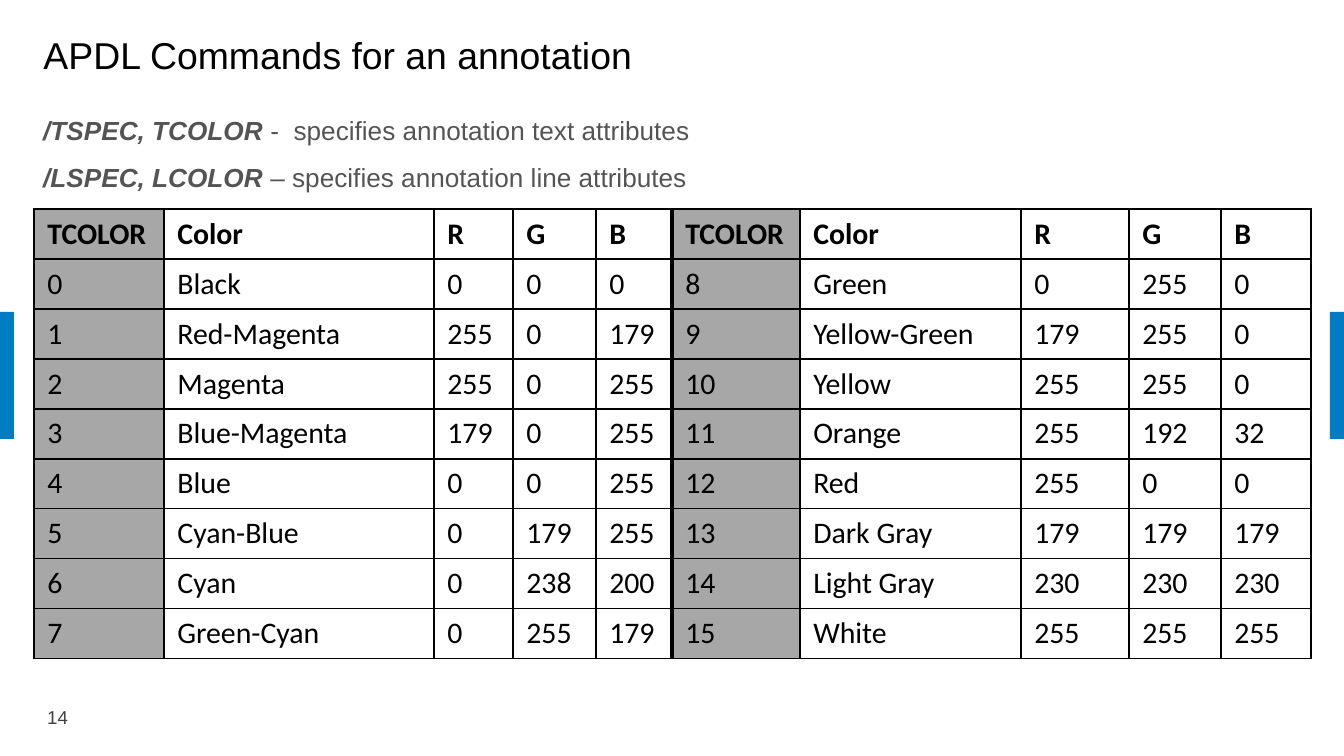
from lxml.etree import SubElement
from pptx import Presentation
from pptx.dml.color import RGBColor
from pptx.enum.shapes import MSO_SHAPE
from pptx.enum.text import MSO_ANCHOR, MSO_AUTO_SIZE, PP_ALIGN
from pptx.oxml.ns import qn
from pptx.util import Pt

SLIDE_WIDTH, SLIDE_HEIGHT = 1344, 756
COLORS = {
    "accent": "007CC3",
    "title": "000000",
    "body": "545454",
    "number": "404040",
    "code_column": "A7A7A7",
    "table_text": "000000",
    "border": "000000",
}
COMMANDS = [
    ("/TSPEC, TCOLOR", " -  specifies annotation text attributes"),
    ("/LSPEC, LCOLOR", " – specifies annotation line attributes"),
]
HEADER = ["TCOLOR", "Color", "R", "G", "B"]
PALETTE = [
    ("Black", 0, 0, 0),
    ("Red-Magenta", 255, 0, 179),
    ("Magenta", 255, 0, 255),
    ("Blue-Magenta", 179, 0, 255),
    ("Blue", 0, 0, 255),
    ("Cyan-Blue", 0, 179, 255),
    ("Cyan", 0, 238, 200),
    ("Green-Cyan", 0, 255, 179),
    ("Green", 0, 255, 0),
    ("Yellow-Green", 179, 255, 0),
    ("Yellow", 255, 255, 0),
    ("Orange", 255, 192, 32),
    ("Red", 255, 0, 0),
    ("Dark Gray", 179, 179, 179),
    ("Light Gray", 230, 230, 230),
    ("White", 255, 255, 255),
]
COLUMN_WIDTHS = [130, 270, 79, 83, 76, 128, 221, 108, 92, 90]
ROW_HEIGHT = 50


def px(length):
    return length * 9144000 // SLIDE_WIDTH


def box_emu(box):
    return [px(length) for length in box]


def format_font(font, name, size, color, bold=False, italic=False):
    font.name = name
    font.size = Pt(size)
    font.bold = bold
    font.italic = italic
    font.color.rgb = RGBColor.from_string(COLORS[color])


def add_side_tabs(slide, box):
    left, top, width, height = box
    tab_width = 14
    for tab_left in (left, left + width - tab_width):
        tab = slide.shapes.add_shape(
            MSO_SHAPE.RECTANGLE, *box_emu((tab_left, top, tab_width, height)))
        tab.shadow.inherit = False
        tab.fill.solid()
        tab.fill.fore_color.rgb = RGBColor.from_string(COLORS["accent"])
        tab.line.fill.background()


def place_title(slide, box, text):
    title = slide.shapes.title
    title.left, title.top, title.width, title.height = box_emu(box)
    text_frame = title.text_frame
    text_frame.text = text
    text_frame.auto_size = MSO_AUTO_SIZE.NONE
    text_frame.vertical_anchor = MSO_ANCHOR.MIDDLE
    paragraph = text_frame.paragraphs[0]
    paragraph.alignment = PP_ALIGN.LEFT
    format_font(paragraph.runs[0].font, "Arial", 20, "title")


def add_commands(slide, box):
    text_frame = slide.shapes.add_textbox(*box_emu(box)).text_frame
    text_frame.word_wrap = True
    for index, (command, meaning) in enumerate(COMMANDS):
        if index:
            paragraph = text_frame.add_paragraph()
            paragraph.space_before = Pt(8)
        else:
            paragraph = text_frame.paragraphs[0]
        for text, strong in ((command, True), (meaning, False)):
            run = paragraph.add_run()
            run.text = text
            format_font(run.font, "Arial", 14, "body", strong, strong)


def set_borders(cell, widths):
    properties = cell._tc.get_or_add_tcPr()
    for index, (side, width) in enumerate(widths.items()):
        line = properties.makeelement(qn(f"a:{side}"), {"w": str(Pt(width))})
        fill = SubElement(line, qn("a:solidFill"))
        SubElement(fill, qn("a:srgbClr"), val=COLORS["border"])
        properties.insert(index, line)


def add_color_table(slide, box):
    half = len(PALETTE) // 2
    rows = [HEADER * 2] + [
        [code, *PALETTE[code], code + half, *PALETTE[code + half]]
        for code in range(half)
    ]
    table = slide.shapes.add_table(
        len(rows), len(COLUMN_WIDTHS), *box_emu(box)).table
    table.first_row = False
    table.horz_banding = False
    for column, width in zip(table.columns, COLUMN_WIDTHS):
        column.width = px(width)
    divider = len(HEADER)
    for row_index, values in enumerate(rows):
        table.rows[row_index].height = px(ROW_HEIGHT)
        for column_index, value in enumerate(values):
            cell = table.cell(row_index, column_index)
            cell.text = str(value)
            format_font(cell.text_frame.paragraphs[0].runs[0].font,
                        "Calibri", 16, "table_text", row_index == 0)
            if column_index % divider == 0:
                cell.fill.solid()
                cell.fill.fore_color.rgb = RGBColor.from_string(
                    COLORS["code_column"])
            else:
                cell.fill.background()
            set_borders(cell, {
                "lnL": 2.25 if column_index == divider else 1,
                "lnR": 2.25 if column_index == divider - 1 else 1,
                "lnT": 1,
                "lnB": 1,
            })


def add_slide_number(slide, box, number):
    text_frame = slide.shapes.add_textbox(*box_emu(box)).text_frame
    text_frame.word_wrap = True
    text_frame.text = number
    format_font(text_frame.paragraphs[0].runs[0].font, "Arial", 10, "number")


def main():
    presentation = Presentation()
    presentation.slide_width = px(SLIDE_WIDTH)
    presentation.slide_height = px(SLIDE_HEIGHT)
    slide = presentation.slides.add_slide(presentation.slide_layouts[5])
    add_side_tabs(slide, (0, 312, SLIDE_WIDTH, 127))
    place_title(slide, (30, 21, 1282, 67), "APDL Commands for an annotation")
    add_commands(slide, (30, 108, 1238, 101))
    add_slide_number(slide, (34, 699, 69, 42), "14")
    add_color_table(slide, (34, 209, sum(COLUMN_WIDTHS), 9 * ROW_HEIGHT))
    presentation.save("out.pptx")


if __name__ == "__main__":
    main()
